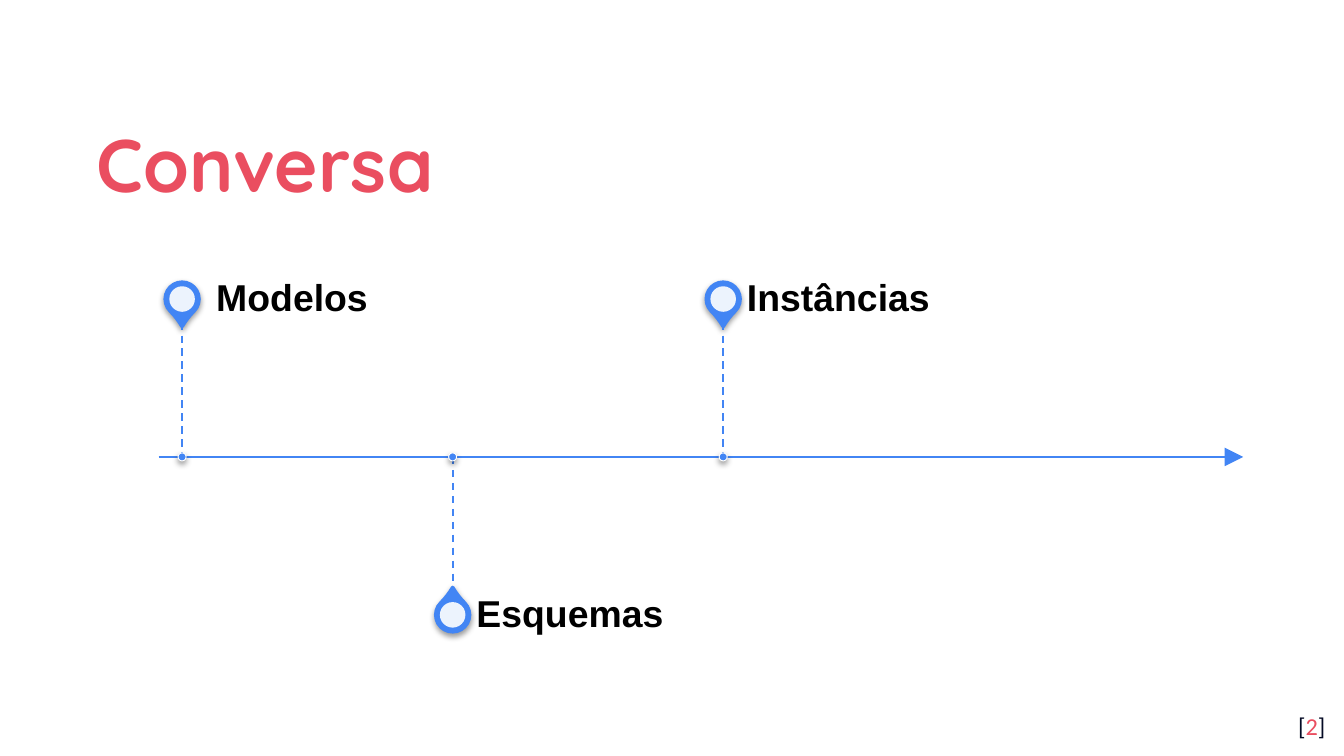
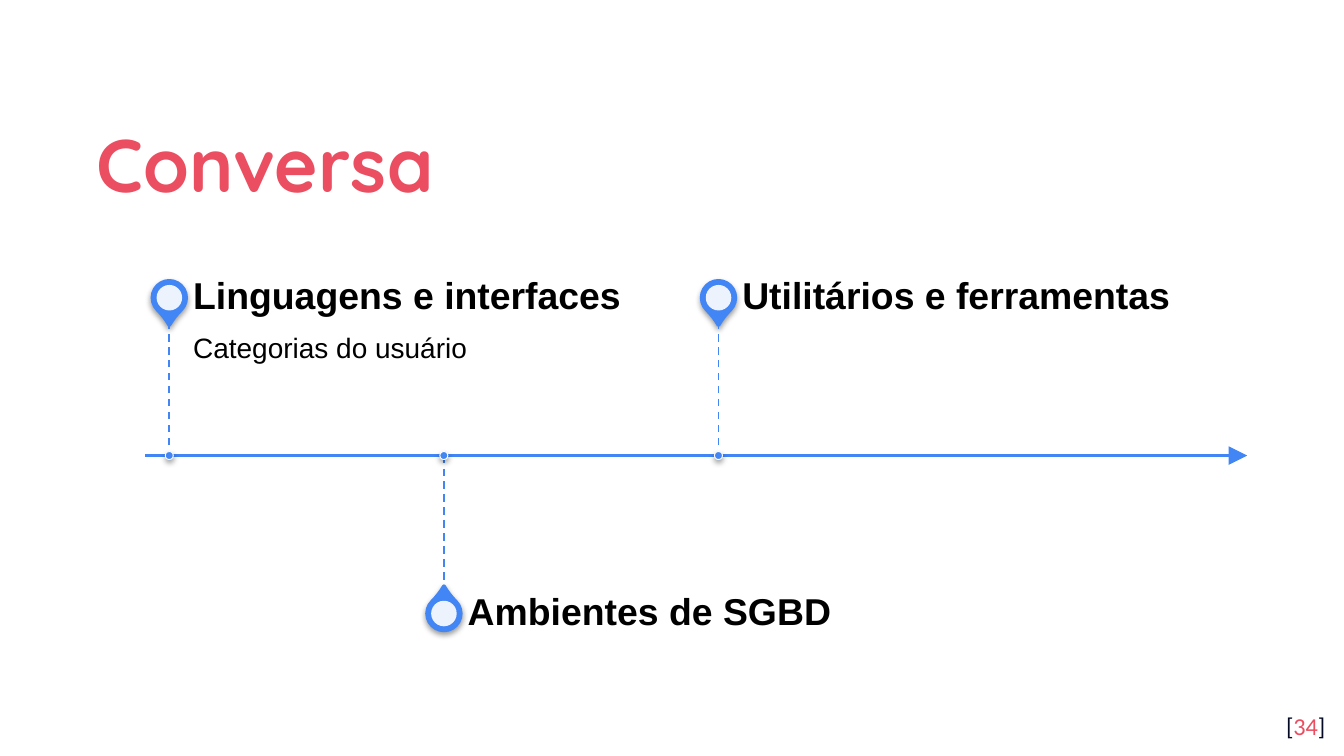
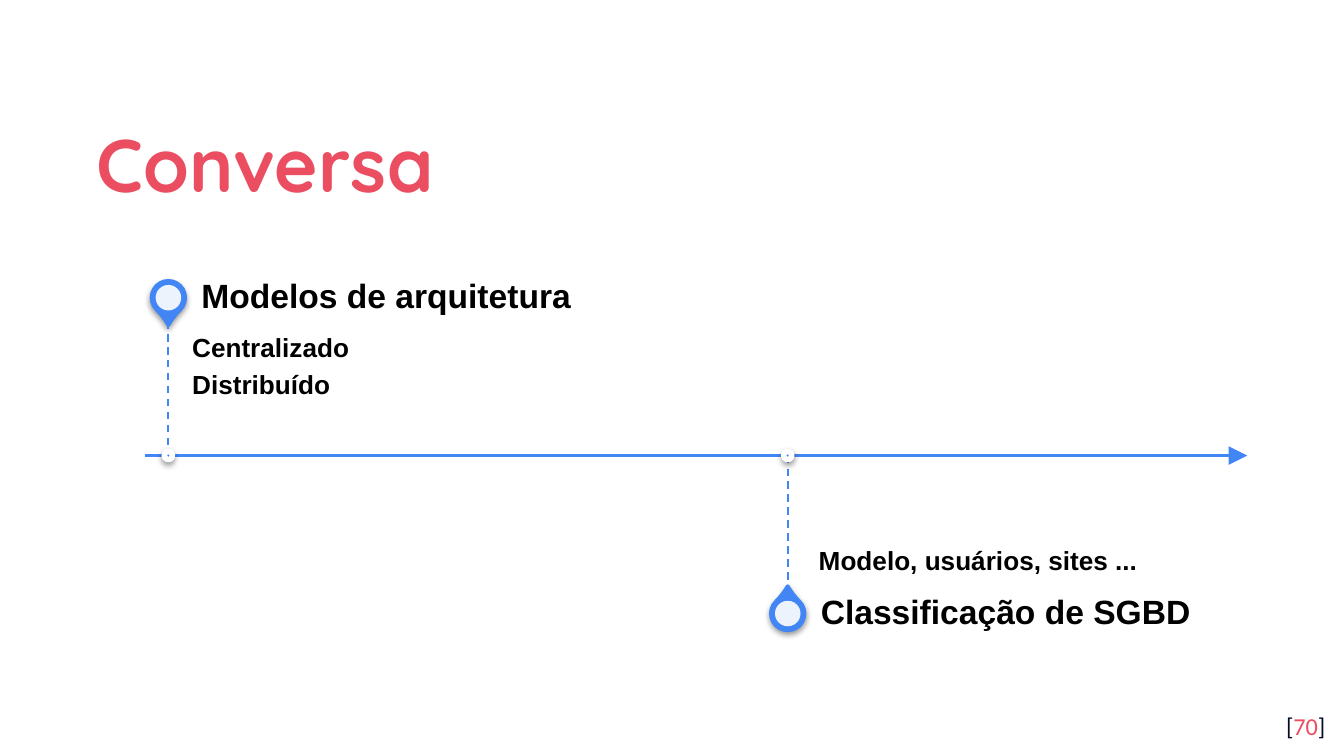
import pptx
import pptx.dml.color
import pptx.enum.dml
import pptx.enum.shapes
import pptx.enum.text
import pptx.oxml
import pptx.oxml.ns
import pptx.util

SHAPE = pptx.enum.shapes.MSO_SHAPE
ANCHOR = pptx.enum.text.MSO_ANCHOR
ALIGN = pptx.enum.text.PP_ALIGN
qn = pptx.oxml.ns.qn

WIDE, TALL = pptx.util.Inches(10), pptx.util.Inches(5.625)
COLS = 100  # square cells, 100 across the slide
BLUE, RED, NAVY, WHITE, BLACK = "4285F4", "EA4E60", "040A24", "FFFFFF", "000000"
HEAD, STEM = 3.5, 10  # rows of a label and of a dashed stem
PIN, HOLE, DOT = 2.5, 1.9, 0.6

# box, lead, step and label width in cells; label, note and dot border in points
LINES = [
    {"page": "2", "box": (11.8, 20.5, 80.7, 27), "lead": 1.75, "step": 20.13,
     "label": 33.5, "size": 20, "small": 15, "edge": 0.5,
     "stops": [(" Modelos", []), ("Esquemas", []), ("Instâncias", [])]},
    {"page": "34", "box": (10.8, 20.4, 82, 27), "lead": 1.8, "step": 20.43,
     "label": 34.1, "size": 20, "small": 15, "edge": 0.5,
     "stops": [("Linguagens e interfaces", ["Categorias do usuário"]),
               ("Ambientes de SGBD", []), ("Utilitários e ferramentas", [])]},
    {"page": "70", "box": (10.8, 20.4, 82, 27), "lead": 1.73, "step": 46.08,
     "label": 30, "size": 18, "small": 14, "edge": 3, "bold": True,
     "stops": [(" Modelos de arquitetura", ["Centralizado", "Distribuído"]),
               (" Classificação de SGBD", [" Modelo, usuários, sites ..."])]},
]


def cells(*counts):
    return [round(n * WIDE / COLS) for n in counts]


def paint(part, tint):
    """Give a fill or a line's fill one solid colour."""
    part.solid()
    part.fore_color.rgb = pptx.dml.color.RGBColor.from_string(tint)


def add_run(para, text, size, font, tint, bold=False):
    run = para.add_run()
    run.text = text
    run.font.size = pptx.util.Pt(size)
    run.font.name = font
    run.font.bold = bold
    paint(run.font.fill, tint)


def set_frame(shape, pads, anchor):
    """Fix wrapping, anchor and insets (left, top, right, bottom) of a text frame."""
    frame = shape.text_frame
    frame.word_wrap = True
    frame.auto_size = pptx.enum.text.MSO_AUTO_SIZE.NONE
    frame.vertical_anchor = anchor
    (frame.margin_left, frame.margin_top,
     frame.margin_right, frame.margin_bottom) = cells(*pads)
    return frame


def add_title(slide, text):
    title = slide.shapes.title
    title.left, title.top, title.width, title.height = cells(6.2, 7, 87.7, 9.2)
    para = set_frame(title, (1, 1, 1, 1), ANCHOR.MIDDLE).paragraphs[0]
    para.alignment = ALIGN.LEFT
    para.line_spacing = 1.15
    add_run(para, text, 40, "Quicksand", RED, True)


def add_page(slide, page):
    box = slide.shapes.add_textbox(*cells(93.6, 51.9, 6, 4.3))
    para = set_frame(box, (1, 1, 1, 1), ANCHOR.TOP).paragraphs[0]
    para.alignment = ALIGN.RIGHT
    for text, tint in (("[", NAVY), (page, RED), ("]", NAVY)):
        add_run(para, text, 13, "Calibri", tint)


def add_lines(shapes, box, texts, size, bold, pads, anchor):
    frame = set_frame(shapes.add_textbox(*cells(*box)), pads, anchor)
    for i, text in enumerate(texts):
        para = frame.add_paragraph() if i else frame.paragraphs[0]
        para.line_spacing = 0.9
        para.space_after = pptx.util.Pt(size * 0.35)
        add_run(para, text, size, "Arial", BLACK, bold)


def add_rule(shapes, start, end, width):
    rule = shapes.add_connector(pptx.enum.shapes.MSO_CONNECTOR.STRAIGHT,
                                *cells(*start, *end))
    paint(rule.line.fill, BLUE)
    rule.line.width = pptx.util.Pt(width)
    props = rule._element.spPr
    props.append(props.makeelement(qn("a:effectLst"), {}))
    return rule


def add_round(shapes, kind, x, y, size, tint):
    """Add a shape centred on x, y."""
    shape = shapes.add_shape(kind, *cells(x - size / 2, y - size / 2, size, size))
    shape.shadow.inherit = False
    paint(shape.fill, tint)
    shape.line.fill.background()
    return shape


def add_edge(shape, tint, width):
    paint(shape.line.fill, tint)
    shape.line.width = pptx.util.Pt(width)


def add_shade(shape):
    shade = pptx.oxml.parse_xml(
        f'<a:outerShdw {pptx.oxml.ns.nsdecls("a")} blurRad="39370" dist="20320" '
        'dir="5400000" rotWithShape="0"><a:srgbClr val="000000">'
        '<a:alpha val="38000"/></a:srgbClr></a:outerShdw>')
    shape._element.spPr.find(qn("a:effectLst")).append(shade)


def add_pin(shapes, x, y, turn):
    drop = add_round(shapes, SHAPE.TEAR, x, y, PIN, BLUE)
    drop.adjustments[0] = 1.15
    drop.rotation = turn
    add_edge(drop, BLUE, 2)
    add_shade(drop)
    hole = add_round(shapes, SHAPE.OVAL, x, y, HOLE, WHITE)
    tint = hole._element.spPr.find(qn("a:solidFill"))[0]
    tint.append(tint.makeelement(qn("a:alpha"), {"val": "90000"}))


def add_stop(shapes, x, box, below, head, notes, line):
    """Place one stop: pin and label at the box's top or bottom, stem to the axis."""
    left, top, wide, tall = box
    axis = top + tall / 2
    row = top + tall - HEAD if below else top
    near = row if below else row + HEAD
    text_x, text_w = x + 1.77, line["label"]
    add_pin(shapes, x, row + HEAD / 2, 315 if below else 135)
    if notes:
        pads = (0, 1.5, 1, 1) if below else (0, 1, 1, 1.5)
        add_lines(shapes, (text_x, min(axis, near), text_w, STEM), notes,
                  line["small"], line.get("bold", False), pads,
                  ANCHOR.BOTTOM if below else ANCHOR.TOP)
    add_lines(shapes, (text_x, row, text_w, HEAD), [head], line["size"], True,
              (0, 0, 1.2, 0), ANCHOR.MIDDLE)
    stem = add_rule(shapes, (x, min(axis, near)), (x, max(axis, near)), 1)
    stem.line.dash_style = pptx.enum.dml.MSO_LINE.DASH
    dot = add_round(shapes, SHAPE.OVAL, x, axis, DOT, BLUE)
    add_edge(dot, WHITE, line["edge"])
    add_shade(dot)


def add_axis(shapes, box):
    left, top, wide, tall = box
    axis = top + tall / 2
    rule = add_rule(shapes, (left, axis), (left + wide, axis), 1.5)
    edge = rule.line._get_or_add_ln()
    edge.append(edge.makeelement(
        qn("a:tailEnd"), {"type": "triangle", "w": "lg", "len": "lg"}))


def add_slide(deck, line):
    slide = deck.slides.add_slide(deck.slide_layouts[5])
    add_title(slide, "Conversa")
    add_page(slide, line["page"])
    box = line["box"]
    add_axis(slide.shapes, box)
    for i, (head, notes) in enumerate(line["stops"]):
        x = box[0] + line["lead"] + i * line["step"]
        group = slide.shapes.add_group_shape()
        add_stop(group.shapes, x, box, i % 2 == 1, head, notes, line)


def main():
    deck = pptx.Presentation()
    deck.slide_width, deck.slide_height = WIDE, TALL
    for line in LINES:
        add_slide(deck, line)
    deck.save("out.pptx")


if __name__ == "__main__":
    main()
